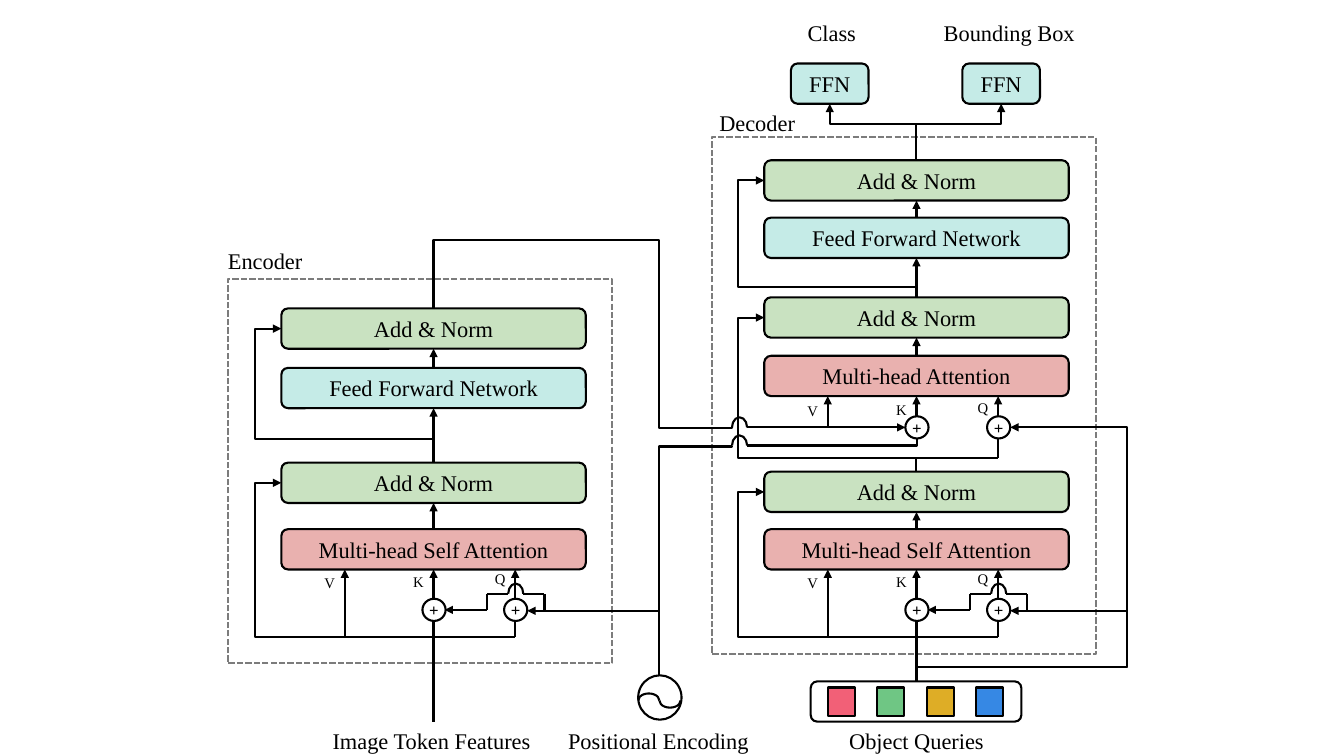
from lxml import etree
from pptx import Presentation
from pptx.dml.color import RGBColor
from pptx.enum.dml import MSO_LINE
from pptx.enum.shapes import MSO_CONNECTOR, MSO_SHAPE
from pptx.enum.text import MSO_ANCHOR, PP_ALIGN
from pptx.oxml.ns import qn
from pptx.util import Inches, Pt

SLIDE_W, SLIDE_H = Inches(13.33), Inches(7.5)
COL, ROW = SLIDE_W / 13.33, SLIDE_H / 7.5
STRAIGHT, ELBOW = MSO_CONNECTOR.STRAIGHT, MSO_CONNECTOR.ELBOW
RECT, ROUND = MSO_SHAPE.RECTANGLE, MSO_SHAPE.ROUNDED_RECTANGLE
OVAL, ARC = MSO_SHAPE.OVAL, MSO_SHAPE.ARC
SYS_DASH = MSO_LINE.SQUARE_DOT
MIDDLE, CENTER = MSO_ANCHOR.MIDDLE, PP_ALIGN.CENTER

BLACK, WHITE, GREY = "000000", "FFFFFF", "7C7C7C"
PINK, GREEN, TEAL = "E9B1AF", "C9E2C1", "C5EBE7"
QUERY_COLORS = ("F26077", "6FC684", "DEAD26", "3688E4")
FONT = "Times New Roman"

ENC, DEC, POS = 4.3, 9.09, 6.54
V, Q = -0.88, 0.81
BLOCK_W, BLOCK_H = 3.02, 0.4
SIDE, SKIP = BLOCK_W / 2, 1.77


def color(value):
    return RGBColor.from_string(value)


def box(x, y, w, h):
    return round(x * COL), round(y * ROW), round(w * COL), round(h * ROW)


def write(shape, text, size, bold=False):
    tf = shape.text_frame
    for name, value in {"word_wrap": False, "vertical_anchor": MIDDLE, "margin_left": 0,
                        "margin_right": 0, "margin_top": 0, "margin_bottom": 0}.items():
        setattr(tf, name, value)
    p = tf.paragraphs[0]
    p.alignment = CENTER
    r = p.add_run()
    r.text = text
    for name, value in {"name": FONT, "size": Pt(size), "bold": bold}.items():
        setattr(r.font, name, value)
    r.font.color.rgb = color(BLACK)


def draw(s, kind, x, y, w, h, fill=None, line=BLACK):
    sp = s.shapes.add_shape(kind, *box(x, y, w, h))
    sp.shadow.inherit = False
    if fill:
        sp.fill.solid()
        sp.fill.fore_color.rgb = color(fill)
    else:
        sp.fill.background()
    sp.line.color.rgb = color(line)
    sp.line.width = Pt(1.5)
    return sp


def label(s, cx, y, text, size=16, w=2, h=0.37):
    write(s.shapes.add_textbox(*box(cx - w / 2, y, w, h)), text, size)


def block(s, cx, y, text, fill, w=BLOCK_W):
    write(draw(s, ROUND, cx - w / 2, y, w, BLOCK_H, fill), text, 16)


def plus(s, cx, cy):
    write(draw(s, OVAL, cx - 0.11, cy - 0.11, 0.23, 0.22, WHITE), "+", 12, True)


def frame(s, x, y, h, title, title_x, title_y):
    draw(s, RECT, x, y, 3.81, h, line=GREY).line.dash_style = SYS_DASH
    label(s, title_x, title_y, title)


def arc(s, x, y, w=0.15, h=0.2, rotation=0):
    sp = draw(s, ARC, x, y, w, h)
    sp.adjustments[0] = 108
    sp.rotation = rotation


def style_line(cn, arrow):
    cn.line.color.rgb = color(BLACK)
    cn.line.width = Pt(1.5)
    if arrow:
        etree.SubElement(cn.line._get_or_add_ln(), qn("a:tailEnd"), type="triangle")
    etree.SubElement(cn._element.spPr, qn("a:effectLst"))


def wire(s, x1, y1, x2, y2, arrow=True):
    x, y, w, h = box(x1, y1, x2 - x1, y2 - y1)
    style_line(s.shapes.add_connector(STRAIGHT, x, y, x + w, y + h), arrow)


def elbow(s, x1, y1, x2, y2, *bends, arrow=True):
    w, h = abs(y2 - y1), abs(x2 - x1)
    x, y, w, h = box((x1 + x2 - w) / 2, (y1 + y2 - h) / 2, w, h)
    cn = s.shapes.add_connector(ELBOW, x, y, x + w, y + h)
    xfrm = cn._element.spPr.get_or_add_xfrm()
    xfrm.set("rot", str(90 * 60000))
    xfrm.set("flipH", str(int(y2 < y1)))
    xfrm.set("flipV", str(int(x2 > x1)))
    geom = cn._element.spPr.find(qn("a:prstGeom"))
    geom.set("prst", f"bentConnector{len(bends) + 2}")
    guides = geom.find(qn("a:avLst"))
    for i, bend in enumerate(bends):
        start, end = (x1, x2) if i % 2 else (y1, y2)
        share = round((bend - start) / (end - start) * 100000)
        name = f"adj{i + 1}" if len(bends) > 1 else "adj1"
        etree.SubElement(guides, qn("a:gd"), name=name, fmla=f"val {share}")
    style_line(cn, arrow)


def skip(s, c, start, turn, end):
    elbow(s, c, start, c - SIDE, end, turn, c - SKIP)


def input_labels(s, c, y):
    for name, dx, dy in (("V", V, 0.03), ("K", 0, 0.02), ("Q", Q, 0)):
        label(s, c + dx - 0.15, y + dy, name, 10.5, 0.2, 0.29)


def self_attention(s, c, source, norm):
    wire(s, c, source, c, 5.65)
    for dx in (V, Q):
        wire(s, c + dx, 6.32, c + dx, 5.65)
    wire(s, c, 6.32, c + Q, 6.32, False)
    skip(s, c, 6.33, 6.32, norm + BLOCK_H / 2)
    wire(s, c, 5.25, c, norm + BLOCK_H)
    for near, far in ((0.53, 0.74), (1.1, 0.89)):
        wire(s, c + near, 6.05, c + near, 5.89, False)
        wire(s, c + near, 5.89, c + far, 5.89, False)
    wire(s, c + 0.53, 6.05, c + 0.11, 6.05)
    arc(s, c + 0.74, 5.79)
    for dx in (0, Q):
        plus(s, c + dx, 6.05)
    input_labels(s, c, 5.6)
    block(s, c, 5.25, "Multi-head Self Attention", PINK)
    block(s, c, norm, "Add & Norm", GREEN)


def feed_forward(s, c, source, turn, ffn, norm):
    wire(s, c, source, c, ffn + BLOCK_H)
    wire(s, c, ffn, c, norm + BLOCK_H)
    skip(s, c, source, turn, norm + BLOCK_H / 2)
    block(s, c, ffn, "Feed Forward Network", TEAL)
    block(s, c, norm, "Add & Norm", GREEN)


def cross_attention(s, c):
    skip(s, c, 4.68, 4.54, 3.15)
    wire(s, c, 4.54, c + Q, 4.54, False)
    wire(s, c + Q, 4.54, c + Q, 3.93)
    wire(s, c, 4.13, c, 3.93)
    wire(s, c + V, 4.24, c + V, 3.93)
    wire(s, c, 3.53, c, 3.35)
    for dx in (0, Q):
        plus(s, c + dx, 4.24)
    input_labels(s, c, 3.9)
    block(s, c, 3.53, "Multi-head Attention", PINK)
    block(s, c, 2.95, "Add & Norm", GREEN)


def links(s):
    for y in (4.14, 4.32):
        arc(s, 7.26, y)
    wire(s, 7.41, 4.24, DEC - 0.11, 4.24)
    elbow(s, 7.41, 4.42, DEC, 4.35, 4.42, arrow=False)
    elbow(s, 7.26, 4.42, POS, 6.7, 4.43, arrow=False)
    elbow(s, 7.26, 4.24, ENC, 3.06, 4.25, POS, 2.38, arrow=False)
    elbow(s, POS, 6.7, ENC + Q + 0.12, 6.06)
    for y in (6.06, 4.24):
        elbow(s, DEC, 6.76, DEC + Q + 0.12, y, 6.62, 11.18)


def position_source(s):
    draw(s, OVAL, POS - 0.21, 6.7, 0.43, 0.44, WHITE)
    for x, rotation in ((POS - 0.21, 0), (POS, 180)):
        arc(s, x, 6.88, 0.21, 0.14, rotation)
    label(s, 6.53, 7.16, "Positional Encoding")


def object_queries(s):
    draw(s, ROUND, 8.04, 6.76, 2.09, BLOCK_H, WHITE)
    for i, fill in enumerate(QUERY_COLORS):
        draw(s, RECT, 8.21 + i * 0.49, 6.82, 0.27, 0.28, fill)
    label(s, DEC, 7.16, "Object Queries")


def heads(s):
    for cx, title_x, title in ((8.23, 8.25, "Class"), (9.93, 10.01, "Bounding Box")):
        elbow(s, DEC, 1.59, cx, 1.03, 1.23)
        block(s, cx, 0.63, "FFN", TEAL, 0.77)
        label(s, title_x, 0.14, title)


def main():
    prs = Presentation()
    prs.slide_width, prs.slide_height = SLIDE_W, SLIDE_H
    s = prs.slides.add_slide(prs.slide_layouts[6])
    frame(s, 2.26, 2.77, 3.81, "Encoder", 2.63, 2.4)
    frame(s, 7.06, 1.36, 5.13, "Decoder", 7.51, 1.03)
    self_attention(s, ENC, 7.16, 4.59)
    feed_forward(s, ENC, 4.59, 4.35, 3.65, 3.06)
    self_attention(s, DEC, 6.76, 4.68)
    cross_attention(s, DEC)
    feed_forward(s, DEC, 2.95, 2.85, 2.16, 1.59)
    links(s)
    position_source(s)
    object_queries(s)
    heads(s)
    label(s, 4.28, 7.16, "Image Token Features")
    prs.save("out.pptx")


if __name__ == "__main__":
    main()
